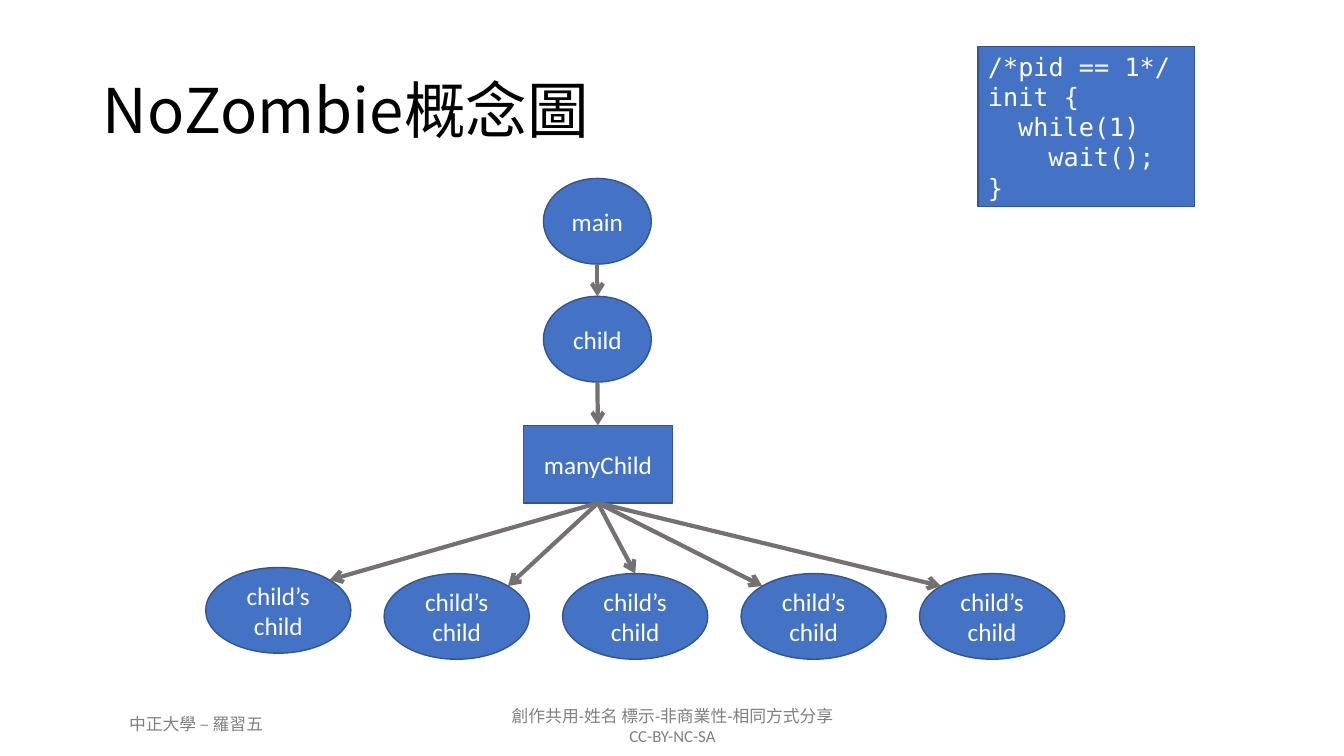
from math import sqrt

from lxml import etree
from pptx import Presentation
from pptx.dml.color import RGBColor
from pptx.enum.shapes import MSO_CONNECTOR, MSO_SHAPE
from pptx.enum.text import MSO_ANCHOR, PP_ALIGN
from pptx.oxml.ns import qn
from pptx.util import Inches, Pt

OVAL, RECTANGLE = MSO_SHAPE.OVAL, MSO_SHAPE.RECTANGLE
STRAIGHT = MSO_CONNECTOR.STRAIGHT
LEFT, CENTER = PP_ALIGN.LEFT, PP_ALIGN.CENTER
TOP, MIDDLE = MSO_ANCHOR.TOP, MSO_ANCHOR.MIDDLE
DIAGONAL = 1 / sqrt(2)


def color(value):
    """Turn a hex string into a colour."""
    return RGBColor.from_string(value)


class Diagram:
    """Hold the style and the current slide of a process diagram."""

    fill, border, arrow_color = "4472C4", "325491", "767171"
    sans, mono, cjk = "Calibri", "DejaVu Sans Mono", "Noto Sans CJK SC"
    code_indent = 0.15

    def __init__(self, slide):
        """Keep the slide to draw on."""
        self.slide = slide

    def add_lines(self, shape, lines, size=18, font=sans, ink="FFFFFF",
                  align=CENTER, anchor=MIDDLE, spacing=1.0):
        """Set lines as paragraphs, turning leading spaces into indents."""
        frame = shape.text_frame
        for name, value in {"word_wrap": True, "vertical_anchor": anchor}.items():
            setattr(frame, name, value)
        for index, line in enumerate(lines):
            para = frame.add_paragraph() if index else frame.paragraphs[0]
            for name, value in {"alignment": align, "line_spacing": spacing}.items():
                setattr(para, name, value)
            text = line.lstrip()
            depth = len(line) - len(text)
            if depth:
                para._p.get_or_add_pPr().set("marL", str(Inches(depth * self.code_indent)))
            span = para.add_run()
            span.text = text
            for name, value in {"size": Pt(size), "name": font}.items():
                setattr(span.font, name, value)
            span.font.color.rgb = color(ink)
            east_asian = etree.SubElement(span._r.get_or_add_rPr(), qn("a:ea"))
            east_asian.set("typeface", self.cjk)

    def text(self, place, lines, **style):
        """Add a text box."""
        box = self.slide.shapes.add_textbox(*map(Inches, place))
        self.add_lines(box, lines, **style)

    def node(self, kind, place, lines, **style):
        """Add a filled shape with text and return it."""
        shape = self.slide.shapes.add_shape(kind, *map(Inches, place))
        shape.shadow.inherit = False
        shape.fill.solid()
        shape.fill.fore_color.rgb = color(self.fill)
        shape.line.color.rgb = color(self.border)
        shape.line.width = Pt(1)
        self.add_lines(shape, lines, **style)
        return shape

    def point(self, shape, across, down):
        """Return a point of a shape, with -1 to 1 running edge to edge."""
        return (int(shape.left + shape.width * (1 + across) / 2),
                int(shape.top + shape.height * (1 + down) / 2))

    def arrow(self, parent, child, across=0, down=-1):
        """Draw an arrow from the bottom of a parent to a point on its child."""
        link = self.slide.shapes.add_connector(
            STRAIGHT, *self.point(parent, 0, 1), *self.point(child, across, down))
        link.line.color.rgb = color(self.arrow_color)
        link.line.width = Pt(3)
        properties = link._element.spPr
        tail = etree.SubElement(properties.find(qn("a:ln")), qn("a:tailEnd"))
        tail.set("type", "arrow")
        etree.SubElement(properties, qn("a:effectLst"))


deck = Presentation()
deck.slide_width, deck.slide_height = Inches(13.33), Inches(7.5)
page = Diagram(deck.slides.add_slide(deck.slide_layouts[6]))

footer = {"size": 12, "ink": "808080", "anchor": TOP}
page.text((4.21, 6.95, 4.92, 0.5),
          ["創作共用-姓名 標示-非商業性-相同方式分享", "CC-BY-NC-SA"], **footer)
page.text((0.69, 7.03, 2.51, 0.3), ["中正大學 – 羅習五"], **footer)
page.text((0.92, 0.4, 11.5, 1.45), ["NoZombie概念圖"], size=44, font=page.cjk,
          ink="000000", align=LEFT, spacing=0.9)

main = page.node(OVAL, (5.39, 1.77, 1.07, 0.85), ["main"])
child = page.node(OVAL, (5.39, 2.94, 1.07, 0.85), ["child"])
many_child = page.node(RECTANGLE, (5.19, 4.22, 1.48, 0.77), ["manyChild"])
page.arrow(main, child)
page.arrow(child, many_child)

grandchild_tops = [5.63, 5.69, 5.69, 5.69, 5.69]
sides = [1, 1, 0, -1, -1]
for column, (top, side) in enumerate(zip(grandchild_tops, sides)):
    grandchild = page.node(OVAL, (2.04 + 1.77 * column, top, 1.44, 0.85),
                           ["child’s", "child"])
    page.arrow(many_child, grandchild, side * DIAGONAL, -DIAGONAL if side else -1)

page.node(RECTANGLE, (9.7, 0.46, 2.15, 1.59),
          ["/*pid == 1*/", "init {", "  while(1)", "    wait();", "}"],
          font=page.mono, align=LEFT)

deck.save("out.pptx")
